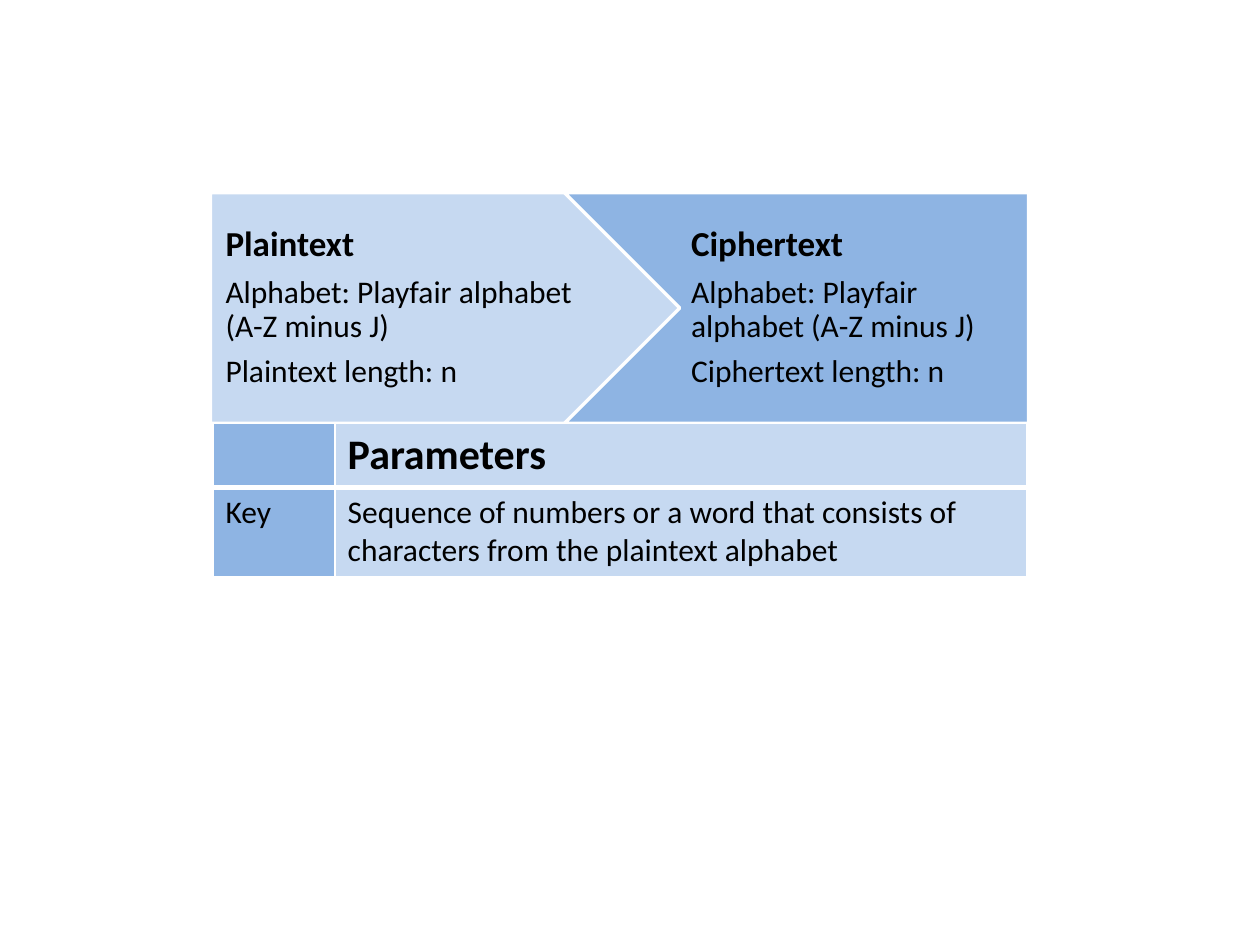
from lxml import etree
from pptx import Presentation
from pptx.dml.color import RGBColor
from pptx.enum.shapes import MSO_SHAPE
from pptx.enum.text import MSO_ANCHOR, PP_ALIGN
from pptx.oxml.ns import qn
from pptx.util import Inches, Pt

PLATE, CHEVRON, RECT = MSO_SHAPE.PENTAGON, MSO_SHAPE.CHEVRON, MSO_SHAPE.RECTANGLE
MIDDLE, LEFT = MSO_ANCHOR.MIDDLE, PP_ALIGN.LEFT

PALE = RGBColor(0xC6, 0xD9, 0xF1)
BLUE = RGBColor(0x8E, 0xB4, 0xE3)
WHITE = RGBColor(0xFF, 0xFF, 0xFF)
BLACK = RGBColor(0, 0, 0)
FONT = "Calibri"

# Band of arrows, with the table right below it
TOP, HIGH = 1.53, 1.83
EDGE = 8.15
COLS, ROWS = (0.97, 5.49), (0.47, 0.41)
THIN, THICK = 0.96, 3

STEPS = [
    (PLATE, 1.67, 3.94, PALE, 0.12,
     ["Plaintext", "Alphabet: Playfair alphabet \v(A-Z minus J)",
      "Plaintext length: n"]),
    (CHEVRON, 4.48, 4.61, BLUE, 0.09,
     ["Ciphertext", "Alphabet: Playfair alphabet (A-Z minus J)",
      "Ciphertext length: n"]),
]
CELLS = [
    ["", "Parameters"],
    ["Key", "Sequence of numbers or a word that consists of "
            "characters from the plaintext alphabet"],
]


def style(para, size, bold):
    para.alignment = LEFT
    for run in para.runs:
        font = run.font
        font.name, font.size, font.bold = FONT, Pt(size), bold
        font.color.rgb = BLACK


def add_box(shapes, kind, left, top, width, height, fill):
    box = shapes.add_shape(kind, Inches(left), Inches(top),
                           Inches(width), Inches(height))
    box.shadow.inherit = False
    box.fill.solid()
    box.fill.fore_color.rgb = fill
    box.line.fill.background()
    return box


def add_step(shapes, kind, left, width, fill, inset, lines):
    step = add_box(shapes, kind, left, TOP, width, HIGH, fill)
    step.adjustments[0] = 0.5
    step.line.color.rgb = WHITE
    step.line.width = Pt(2)
    frame = step.text_frame
    frame.word_wrap = True
    frame.vertical_anchor = MIDDLE
    frame.margin_left, frame.margin_right = Inches(inset), Inches(0.03)
    frame.margin_top = frame.margin_bottom = Inches(0.06)
    for i, line in enumerate(lines):
        para = frame.paragraphs[0] if i == 0 else frame.add_paragraph()
        para.text = line
        para.line_spacing = 0.9
        para.space_after = Pt(7 if i == 0 else 6.3)
        style(para, 20 if i == 0 else 18, i == 0)


def add_edges(cell, widths):
    props = cell._tc.get_or_add_tcPr()
    for i, (side, width) in enumerate(widths.items()):
        line = etree.Element(qn(f"a:ln{side}"), w=str(Pt(width)))
        fill = etree.SubElement(line, qn("a:solidFill"))
        etree.SubElement(fill, qn("a:srgbClr"), val=str(WHITE))
        props.insert(i, line)


def add_grid(shapes):
    grid = shapes.add_table(len(ROWS), len(COLS), Inches(1.69),
                            Inches(TOP + HIGH), Inches(sum(COLS)),
                            Inches(sum(ROWS))).table
    for col, width in zip(grid.columns, COLS):
        col.width = Inches(width)
    for r, (row, height) in enumerate(zip(grid.rows, ROWS)):
        row.height = Inches(height)
        for c, cell in enumerate(row.cells):
            cell.text = CELLS[r][c]
            style(cell.text_frame.paragraphs[0], 18 if r else 24, r == 0)
            cell.fill.solid()
            cell.fill.fore_color.rgb = PALE if c else BLUE
            # The thick rule parts the header from the body
            add_edges(cell, {"L": THIN, "R": THIN,
                             "T": THICK if r else THIN,
                             "B": THIN if r else THICK})


def main():
    deck = Presentation()
    deck.slide_width, deck.slide_height = Inches(10), Inches(7.5)
    shapes = deck.slides.add_slide(deck.slide_layouts[6]).shapes

    # Arrows from plaintext to ciphertext
    group = shapes.add_group_shape()
    for step in STEPS:
        add_step(group.shapes, *step)

    # White block that squares off the chevron's tip
    add_box(shapes, RECT, EDGE, 1.15, 0.94, 2.44, WHITE)

    # Table of parameters
    add_grid(shapes)
    deck.save("out.pptx")


main()
